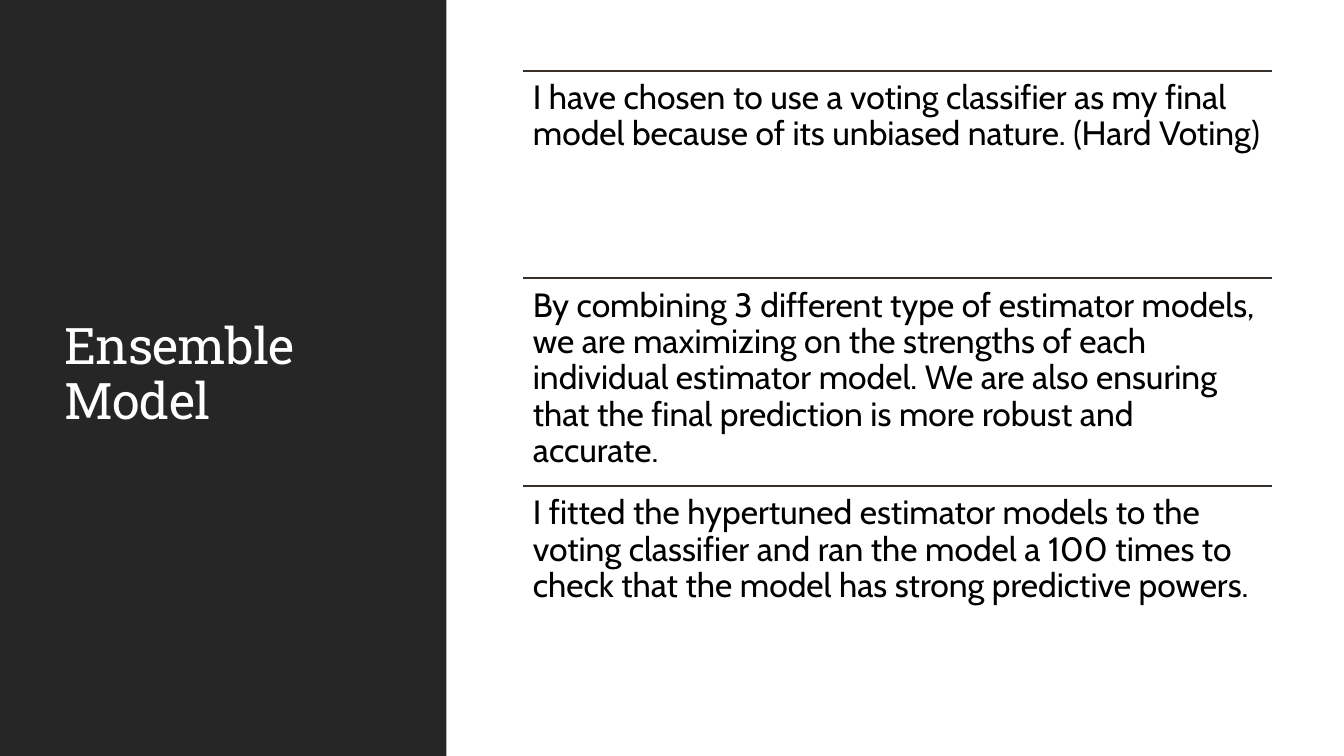
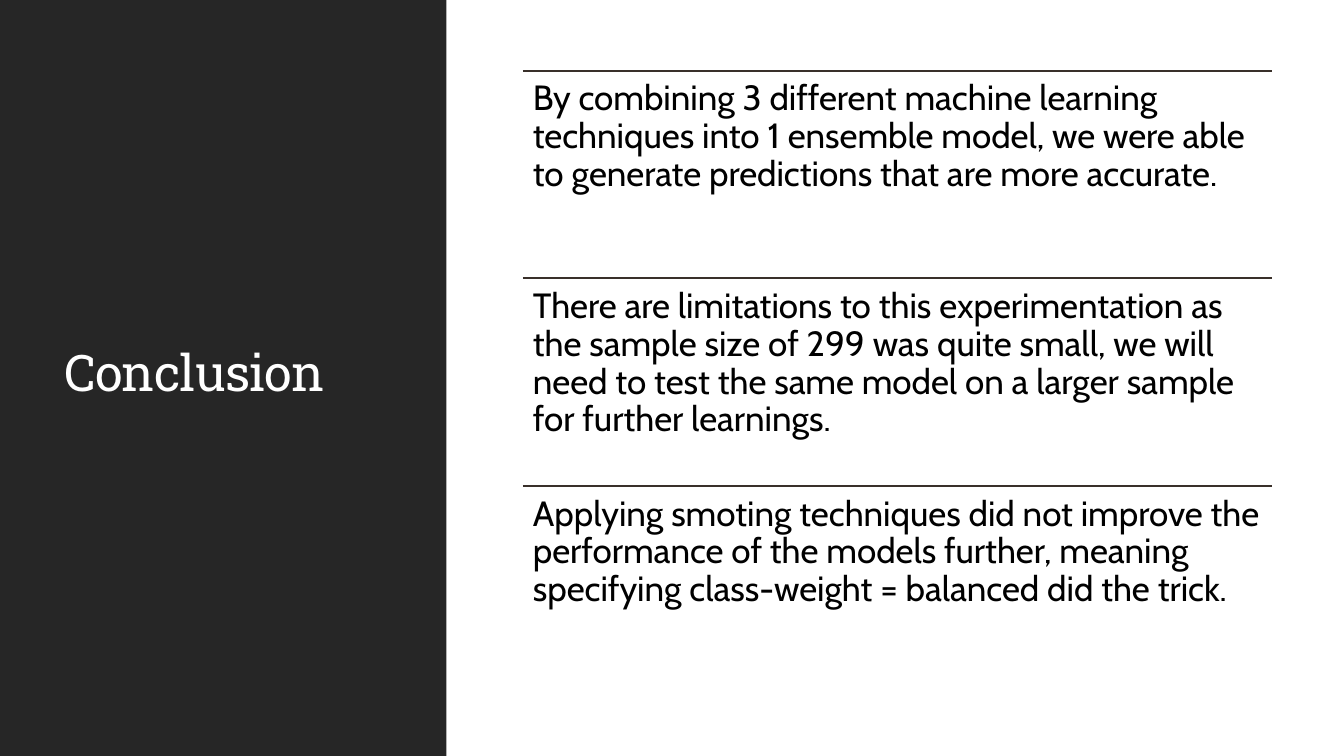
from lxml.etree import SubElement
from pptx import Presentation
from pptx.dml.color import RGBColor
from pptx.enum.shapes import MSO_CONNECTOR as CONN, MSO_SHAPE as SHAPE
from pptx.enum.text import MSO_ANCHOR as ANCHOR
from pptx.oxml.ns import qn
from pptx.util import Cm, Pt

COLORS = {"panel": "262626", "title": "FFFFFF", "rule": "39302A", "body": "000000"}
TITLE_FONT, BODY_FONT = "Roboto Slab", "Cabin"
SLIDE_W, SLIDE_H = Cm(33.87), Cm(19.05)
PANEL_BOX = (0, 0, Cm(11.25), SLIDE_H)
POINTS_BOX = (Cm(13.18), Cm(1.78), Cm(18.87), Cm(15.7))
INSET = Cm(0.25)

# Heading, size of the points, points
SLIDES = [
    ("Ensemble Model", 24, [
        "I have chosen to use a voting classifier as my final model because of "
        "its unbiased nature. (Hard Voting)",
        "By combining 3 different type of estimator models, we are maximizing on "
        "the strengths of each individual estimator model. We are also ensuring "
        "that the final prediction is more robust and accurate.",
        "I fitted the hypertuned estimator models to the voting classifier and "
        "ran the model a 100 times to check that the model has strong predictive "
        "powers.",
    ]),
    ("Conclusion", 25, [
        "By combining 3 different machine learning techniques into 1 ensemble "
        "model, we were able to generate predictions that are more accurate.",
        "There are limitations to this experimentation as the sample size of 299 "
        "was quite small, we will need to test the same model on a larger sample "
        "for further learnings.",
        "Applying smoting techniques did not improve the performance of the "
        "models further, meaning specifying class-weight = balanced did the trick.",
    ]),
]


def rgb(name):
    return RGBColor.from_string(COLORS[name])


def add_text(slide, box, text, font, size, color, anchor=ANCHOR.TOP):
    tf = slide.shapes.add_textbox(*box).text_frame
    tf.word_wrap = True
    tf.vertical_anchor = anchor
    tf.margin_left = tf.margin_right = tf.margin_top = tf.margin_bottom = INSET
    p = tf.paragraphs[0]
    p.line_spacing = 0.9
    r = p.add_run()
    r.text = text
    r.font.name, r.font.size = font, Pt(size)
    r.font.color.rgb = rgb(color)
    return r


def add_rule(slide, x, y, width):
    line = slide.shapes.add_connector(CONN.STRAIGHT, x, y, x + width, y)
    line.line.color.rgb = rgb("rule")
    line.line.width = Pt(1.25)
    SubElement(line._element.spPr, qn("a:effectLst"))


def add_title_panel(slide, box, title):
    x, y, w, h = box
    sp = slide.shapes.add_shape(SHAPE.RECTANGLE, x, y, w, h)
    sp.shadow.inherit = False
    sp.fill.solid()
    sp.fill.fore_color.rgb = rgb("panel")
    sp.line.fill.background()
    # Heading, centred vertically and slightly tightened
    title_box = (x + Cm(1.37), y + Cm(1.45), w - Cm(2.7), h - Cm(3.02))
    r = add_text(slide, title_box, title, TITLE_FONT, 36, "title", ANCHOR.MIDDLE)
    r._r.get_or_add_rPr().set("spc", "-50")


def add_points(slide, box, points, size):
    x, y, w, h = box
    row_h = h // len(points)
    for i, point in enumerate(points):
        top = y + i * row_h
        add_rule(slide, x, top, w)
        add_text(slide, (x, top, w, row_h), point, BODY_FONT, size, "body")


def main():
    prs = Presentation()
    prs.slide_width, prs.slide_height = SLIDE_W, SLIDE_H
    for title, size, points in SLIDES:
        slide = prs.slides.add_slide(prs.slide_layouts[6])
        add_title_panel(slide, PANEL_BOX, title)
        add_points(slide, POINTS_BOX, points, size)
    prs.save("out.pptx")


if __name__ == "__main__":
    main()
